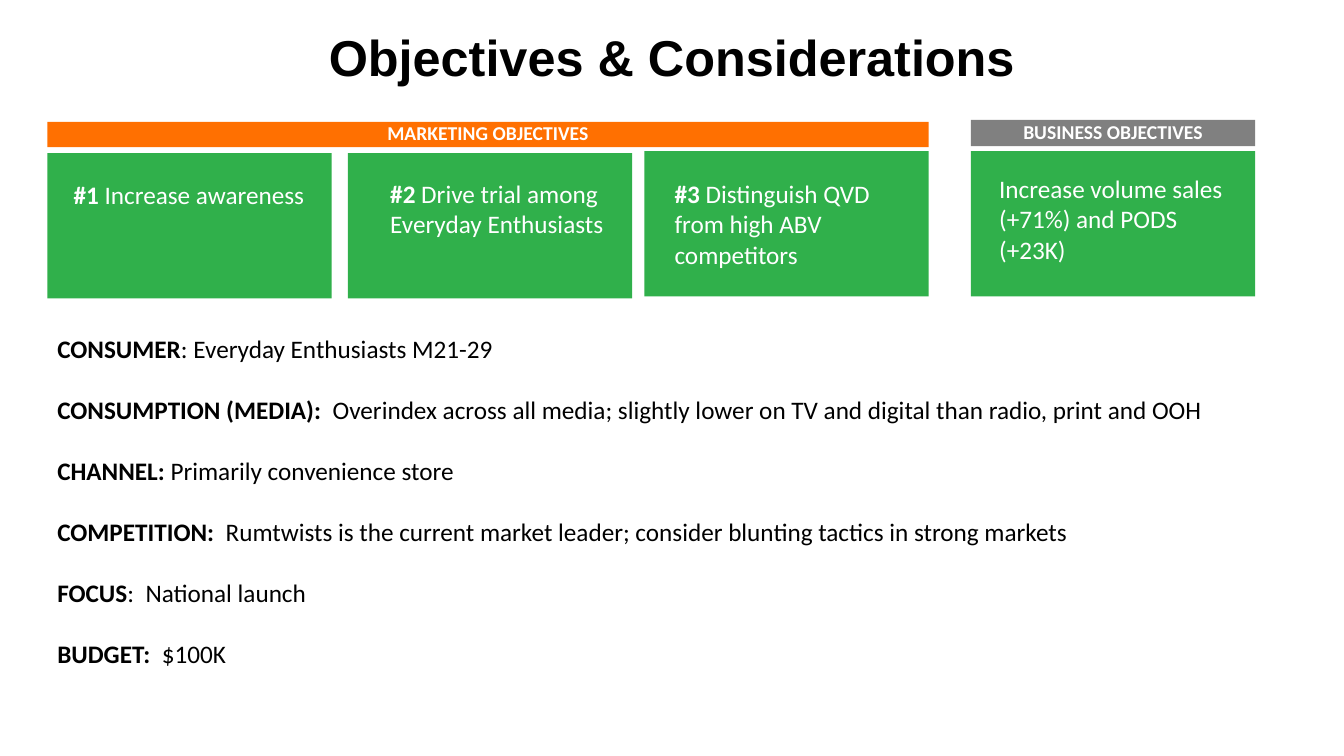
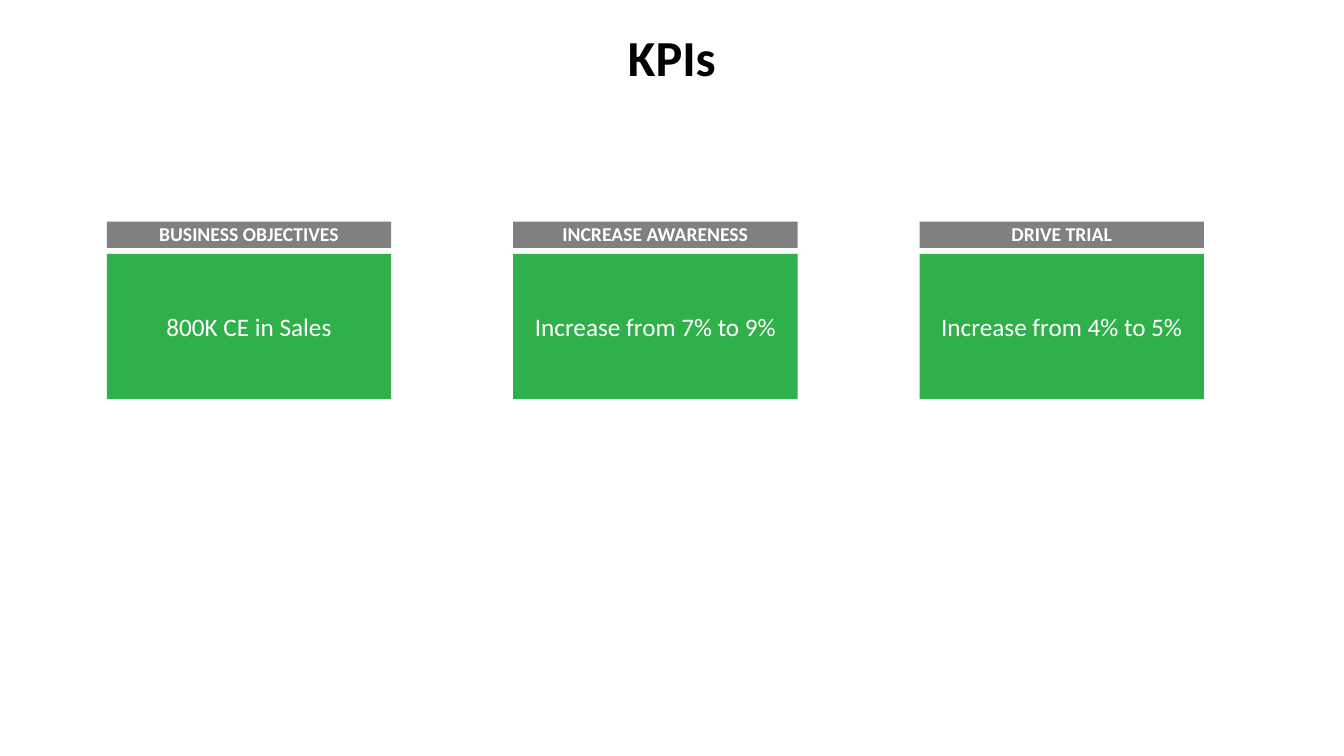
from pptx import Presentation
from pptx.dml.color import RGBColor
from pptx.enum import shapes, text
from pptx.util import Inches, Pt

# Shared look
GREEN = RGBColor(0x30, 0xB0, 0x4B)
ORANGE = RGBColor(0xFF, 0x70, 0x01)
GRAY = RGBColor(0x80, 0x80, 0x80)
WHITE = RGBColor(0xFF, 0xFF, 0xFF)
BLACK = RGBColor(0, 0, 0)
WIDTH, HEIGHT = 13.33, 7.5
CARD_W, CARD_H, BAND_H = 2.82, 1.44, 0.26
LEFT, MIDDLE = text.PP_ALIGN.LEFT, text.PP_ALIGN.CENTER

# Content: bold lead, plain rest
GOALS = [  # left, top, text insets (left, top), lead, rest
    (0.47, 1.52, 0.26, 0.26, "#1 ", "Increase awareness"),
    (3.45, 1.52, 0.42, 0.25, "#2 ", "Drive trial among Everyday Enthusiasts"),
    (6.39, 1.5, 0.3, 0.27, "#3 ", "Distinguish QVD from high ABV competitors"),
    (9.63, 1.5, 0.28, 0.22, "", "Increase volume sales (+71%) and PODS (+23K)"),
]
BANDS = [  # left, top, width, height, colour, label
    (0.47, 1.21, 8.74, 0.25, ORANGE, "MARKETING OBJECTIVES"),
    (9.63, 1.19, CARD_W, BAND_H, GRAY, "BUSINESS OBJECTIVES"),
]
FACTS = [
    ("CONSUMER", ": Everyday Enthusiasts M21-29"),
    ("CONSUMPTION (MEDIA):  ", "Overindex across all media; slightly lower on TV "
     "and digital than radio, print and OOH"),
    ("CHANNEL:", " Primarily convenience store"),
    ("COMPETITION:  ", "Rumtwists is the current market leader; consider "
     "blunting tactics in strong markets"),
    ("FOCUS", ":  National launch"),
    ("BUDGET:  ", "$100K"),
]
KPIS = [
    ("BUSINESS OBJECTIVES", "800K CE in Sales"),
    ("INCREASE AWARENESS", "Increase from 7% to 9%"),
    ("DRIVE TRIAL", "Increase from 4% to 5%"),
]


def write(shape, paras, size=18, font="Calibri", color=WHITE, align=LEFT,
          mid=False, inset=(0.1, 0.05, 0.1, 0.05), line=1.0, after=0):
    """Fill a shape with (bold, plain) paragraphs."""
    frame = shape.text_frame
    frame.word_wrap = True
    frame.vertical_anchor = (text.MSO_ANCHOR.MIDDLE if mid
                             else text.MSO_ANCHOR.TOP)
    (frame.margin_left, frame.margin_top,
     frame.margin_right, frame.margin_bottom) = map(Inches, inset)
    for i, parts in enumerate(paras):
        para = frame.add_paragraph() if i else frame.paragraphs[0]
        para.alignment, para.line_spacing = align, line
        para.space_after = Pt(after)
        for words, bold in zip(parts, (True, False)):
            if words:
                run = para.add_run()
                run.text = words
                run.font.size, run.font.name = Pt(size), font
                run.font.bold, run.font.color.rgb = bold, color


def label(slide, box, paras, **style):
    write(slide.shapes.add_textbox(*map(Inches, box)), paras, **style)


def block(slide, box, fill, paras, **style):
    rect = slide.shapes.add_shape(shapes.MSO_SHAPE.RECTANGLE,
                                  *map(Inches, box))
    rect.shadow.inherit = False
    rect.fill.solid()
    rect.fill.fore_color.rgb = fill
    rect.line.fill.background()
    write(rect, paras, **style)


def band(slide, box, fill, words):
    block(slide, box, fill, [(words, "")], size=14, align=MIDDLE, mid=True,
          inset=(0, 0, 0, 0), line=0.9)


def title(slide, words, top, height, **style):
    label(slide, (0, top, WIDTH, height), [(words, "")], size=36,
          color=BLACK, align=MIDDLE, mid=True, **style)


def objectives(slide):
    title(slide, "Objectives & Considerations", 0, 1.2, font="Arial", line=0.9)
    for left, top, dx, dy, lead, rest in GOALS:
        block(slide, (left, top, CARD_W, CARD_H), GREEN, [(lead, rest)],
              inset=(dx, dy, 0.2, 0.05))
    label(slide, (0.47, 3.26, 12.04, 3.74), FACTS, color=BLACK, after=22)
    for *box, fill, words in BANDS:
        band(slide, box, fill, words)


def kpis(slide):
    title(slide, "KPIs", 0.2, 0.71)
    first, step, top = 1.06, 4.03, 2.2
    for i, (head, goal) in enumerate(KPIS):
        left = first + i * step
        block(slide, (left, top + 0.32, CARD_W, CARD_H), GREEN, [("", goal)],
              align=MIDDLE, mid=True)
        band(slide, (left, top, CARD_W, BAND_H), GRAY, head)


def main():
    deck = Presentation()
    deck.slide_width, deck.slide_height = Inches(WIDTH), Inches(HEIGHT)
    for build in (objectives, kpis):
        build(deck.slides.add_slide(deck.slide_layouts[6]))
    deck.save("out.pptx")


if __name__ == "__main__":
    main()
